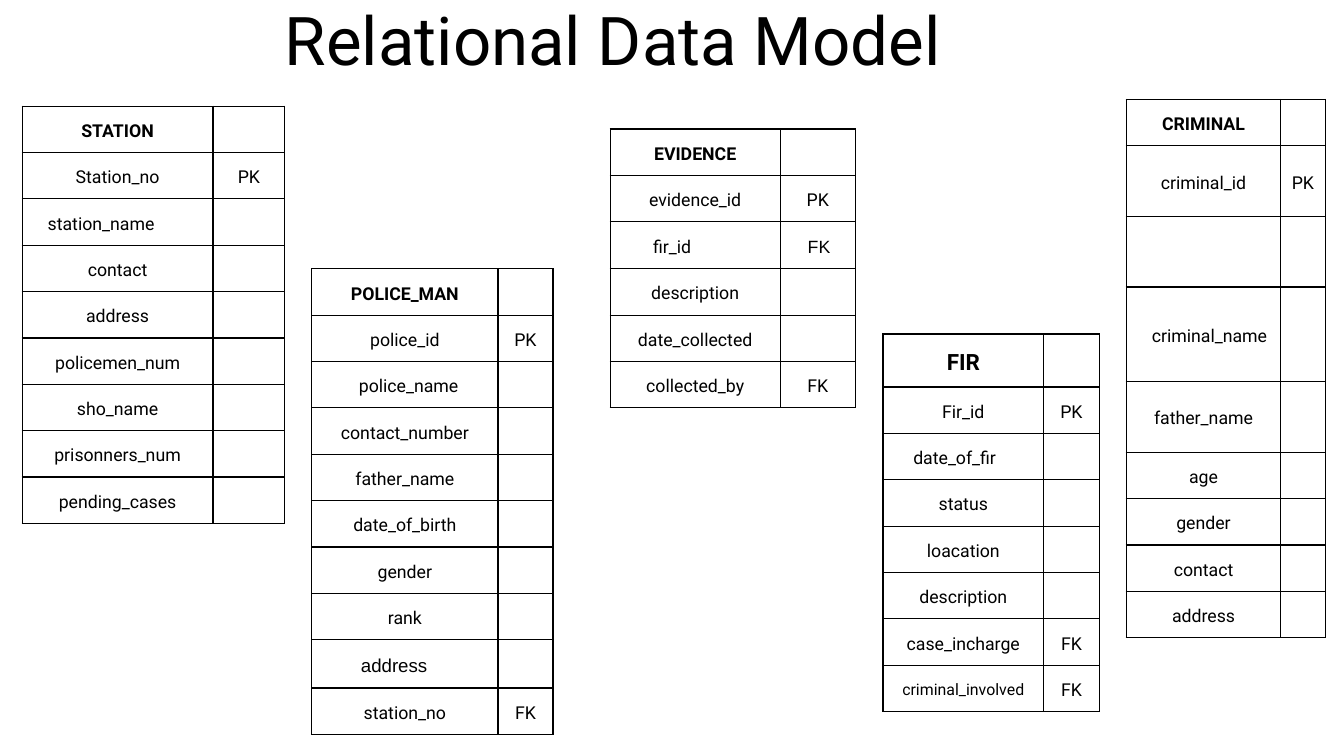
from lxml import etree
from pptx import Presentation
from pptx import util as u
from pptx.dml import color
from pptx.enum import text
from pptx.oxml import ns

HUES = {"ink": "000000"}
FACE = "Roboto"
SIZE = 19
ROW = 0.69
PAD = 0.12

TABLES = [
    dict(at=(0.33, 1.58), cols=(2.84, 1.07),
         names=["STATION", "Station_no", "station_name", "contact", "address",
                "policemen_num", "sho_name", "prisonners_num", "pending_cases"],
         keys={1: "PK"}, looks={(2, 0): dict(indent=0.38)}),
    dict(at=(4.64, 4), cols=(2.77, 0.82),
         names=["POLICE_MAN", "police_id", "police_name", "contact_number",
                "father_name", "date_of_birth", "gender", "rank", "address",
                "station_no"],
         keys={1: "PK", 9: "FK"}, tall={8: 0.72},
         looks={(2, 0): dict(indent=0.7),
                (8, 0): dict(indent=0.73, size=20, face="Arial")}),
    dict(at=(16.76, 1.48), cols=(2.3, 0.66),
         names=["CRIMINAL", "criminal_id", "", "criminal_name", "father_name",
                "age", "gender", "contact", "address"],
         keys={1: "PK"}, tall={1: 1.05, 2: 1.05, 3: 1.41, 4: 1.05},
         looks={(3, 0): dict(indent=0.38)}),
    dict(at=(13.14, 4.97), cols=(2.39, 0.83),
         names=["FIR", "Fir_id", "date_of_fir", "status", "loacation",
                "description", "case_incharge", "criminal_involved"],
         keys={1: "PK", 6: "FK", 7: "FK"}, tall={0: 0.79},
         looks={(0, 0): dict(size=24), (2, 0): dict(indent=0.45),
                (7, 0): dict(size=17)}),
    dict(at=(9.08, 1.92), cols=(2.53, 1.12),
         names=["EVIDENCE", "evidence_id", "fir_id", "description",
                "date_collected", "collected_by"],
         keys={1: "PK", 2: "FK", 5: "FK"}, tall={2: 0.7},
         looks={(2, 0): dict(indent=0.64),
                (2, 1): dict(indent=0.41, face="Arial")}),
]


def style(para, size, face=FACE, bold=False):
    """Set the font of a whole paragraph."""
    font = para.font
    font.size, font.name, font.bold = u.Pt(size), face, bold
    font.color.rgb = color.RGBColor.from_string(HUES["ink"])


def rule(cell):
    """Draw the four borders of a cell."""
    props = cell._tc.get_or_add_tcPr()
    for side in ("lnL", "lnR", "lnT", "lnB"):
        line = etree.SubElement(props, ns.qn(f"a:{side}"), w=str(u.Pt(1.5)))
        fill = etree.SubElement(line, ns.qn("a:solidFill"))
        etree.SubElement(fill, ns.qn("a:srgbClr"), val=HUES["ink"])


def write(cell, words, bold, indent=None, size=SIZE, face=FACE):
    """Fill one cell, centred unless it has an indent."""
    rule(cell)
    cell.fill.background()
    cell.vertical_anchor = text.MSO_ANCHOR.MIDDLE
    cell.margin_top = cell.margin_right = cell.margin_bottom = u.Inches(PAD)
    cell.margin_left = u.Inches(indent or PAD)
    para = cell.text_frame.paragraphs[0]
    para.text = words
    para.alignment = text.PP_ALIGN.LEFT if indent else text.PP_ALIGN.CENTER
    para.line_spacing = u.Pt(size * 1.4)
    style(para, size, face, bold)


def add_grid(slide, at, cols, names, keys, looks, tall={}):
    """Add the table of one relation with its fields and keys."""
    highs = [tall.get(i, ROW) for i in range(len(names))]
    box = [u.Inches(n) for n in (*at, sum(cols), sum(highs))]
    table = slide.shapes.add_table(len(names), len(cols), *box).table
    table.first_row = table.horz_banding = False
    for col, wide in zip(table.columns, cols):
        col.width = u.Inches(wide)
    for i, (name, high) in enumerate(zip(names, highs)):
        table.rows[i].height = u.Inches(high)
        for j, words in enumerate((name, keys.get(i, ""))):
            write(table.cell(i, j), words, i == 0, **looks.get((i, j), {}))


def add_title(slide, words):
    """Place and format the slide title."""
    title = slide.shapes.title
    title.left, title.top = u.Inches(4.24), u.Inches(0.09)
    title.width, title.height = u.Inches(13.33), u.Inches(1.1)
    frame = title.text_frame
    frame.margin_left = frame.margin_right = 0
    frame.margin_top = frame.margin_bottom = 0
    frame.word_wrap = True
    frame.auto_size = text.MSO_AUTO_SIZE.SHAPE_TO_FIT_TEXT
    frame.vertical_anchor = text.MSO_ANCHOR.TOP
    para = frame.paragraphs[0]
    para.text = words
    para.alignment = text.PP_ALIGN.LEFT
    para.line_spacing = u.Pt(77.8)
    style(para, 72)


def main():
    """Build the slide and save it."""
    deck = Presentation()
    deck.slide_width, deck.slide_height = u.Inches(20), u.Inches(11.25)
    slide = deck.slides.add_slide(deck.slide_layouts[5])
    for table in TABLES:
        add_grid(slide, **table)
    add_title(slide, "Relational Data Model")
    deck.save("out.pptx")


if __name__ == "__main__":
    main()
